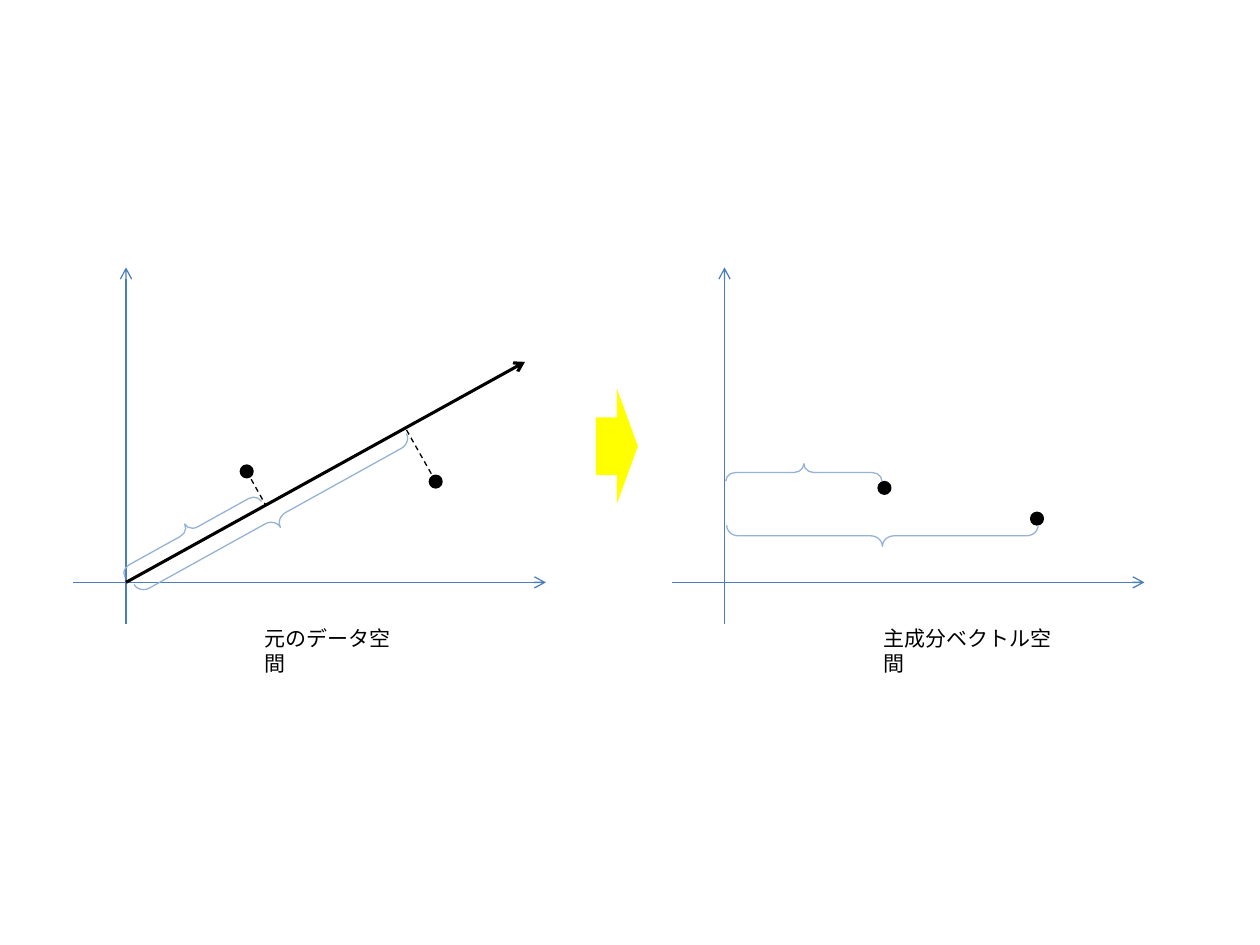
import pptx
import pptx.util
import pptx.dml.color
import pptx.enum.dml
import pptx.enum.shapes
import pptx.enum.text
import pptx.oxml.ns
from lxml import etree

Pt = pptx.util.Pt
SHAPE = pptx.enum.shapes.MSO_SHAPE
COLORS = {"axis": "4B7EBC", "brace": "95B3D7", "ink": "000000", "arrow": "FFFF00"}
DATA_ORIGIN = (72, 332.8)
COMPONENT_ORIGIN = (414, 332.8)
DOT_SIZE = 6


def rgb(name):
    return pptx.dml.color.RGBColor.from_string(COLORS[name])


def add_line(slide, start, end, color, width, arrow=False, dashed=False):
    line = slide.shapes.add_connector(
        pptx.enum.shapes.MSO_CONNECTOR.STRAIGHT, *map(Pt, (*start, *end)))
    line.line.color.rgb = rgb(color)
    line.line.width = Pt(width)
    if dashed:
        line.line.dash_style = pptx.enum.dml.MSO_LINE.DASH
    properties = line.element.spPr
    if arrow:
        outline = line.line._get_or_add_ln()
        etree.SubElement(outline, pptx.oxml.ns.qn("a:tailEnd"), type="arrow")
    etree.SubElement(properties, pptx.oxml.ns.qn("a:effectLst"))


def add_axes(slide, origin):
    x, y = origin
    add_line(slide, (x - 30, y), (x + 240, y), "axis", 0.75, arrow=True)
    add_line(slide, (x, y + 24), (x, y - 180), "axis", 0.75, arrow=True)


def add_dot(slide, center):
    x, y = center
    dot = slide.shapes.add_shape(
        SHAPE.OVAL, Pt(x - DOT_SIZE / 2), Pt(y - DOT_SIZE / 2), Pt(DOT_SIZE), Pt(DOT_SIZE))
    dot.shadow.inherit = False
    dot.fill.solid()
    dot.fill.fore_color.rgb = rgb("ink")
    dot.line.color.rgb = rgb("ink")
    dot.line.width = Pt(2)


def add_brace(slide, center, depth, length, rotation, below=False):
    x, y = center
    brace = slide.shapes.add_shape(
        SHAPE.RIGHT_BRACE, Pt(x - depth / 2), Pt(y - length / 2), Pt(depth), Pt(length))
    brace.shadow.inherit = False
    brace.adjustments[0] = 0.56
    brace.rotation = rotation
    if below:
        brace.element.spPr.get_or_add_xfrm().set("flipH", "1")
    brace.fill.background()
    brace.line.color.rgb = rgb("brace")
    brace.line.width = Pt(0.75)


def add_mapping_arrow(slide):
    arrow = slide.shapes.add_shape(SHAPE.RIGHT_ARROW, Pt(340.5), Pt(222), Pt(24), Pt(66))
    arrow.shadow.inherit = False
    arrow.fill.solid()
    arrow.fill.fore_color.rgb = rgb("arrow")
    arrow.line.fill.background()


def add_caption(slide, left, width, text):
    frame = slide.shapes.add_textbox(Pt(left), Pt(354), Pt(width), Pt(21.8)).text_frame
    frame.word_wrap = True
    frame.auto_size = pptx.enum.text.MSO_AUTO_SIZE.SHAPE_TO_FIT_TEXT
    caption = frame.paragraphs[0]
    caption.text = text
    caption.font.size = Pt(12)
    caption.font.name = "Calibri"
    caption.font.color.rgb = rgb("ink")


def main():
    deck = pptx.Presentation()
    deck.slide_width, deck.slide_height = Pt(720), Pt(540)
    slide = deck.slides.add_slide(deck.slide_layouts[6])

    add_axes(slide, DATA_ORIGIN)
    add_line(slide, DATA_ORIGIN, (300, 206.8), "ink", 1.75, arrow=True)
    projections = [((141, 269.4), (151.8, 288.6)), ((249, 275.2), (231.8, 244.8))]
    for point, foot in projections:
        add_dot(slide, point)
        add_line(slide, point, foot, "ink", 0.75, dashed=True)
    add_brace(slide, (108, 303.8), 10, 89.3, 241)
    add_brace(slide, (157.4, 296.2), 12, 178, 241, below=True)

    add_axes(slide, COMPONENT_ORIGIN)
    for point in [(505.4, 278.8), (592.6, 296.4)]:
        add_dot(slide, point)
    add_brace(slide, (459.4, 270), 10, 89.3, 270)
    add_brace(slide, (504.2, 306.2), 12, 178, 270, below=True)

    add_mapping_arrow(slide)
    add_caption(slide, 144, 95.8, "元のデータ空間")
    add_caption(slide, 498, 116, "主成分ベクトル空間")
    deck.save("out.pptx")


if __name__ == "__main__":
    main()
